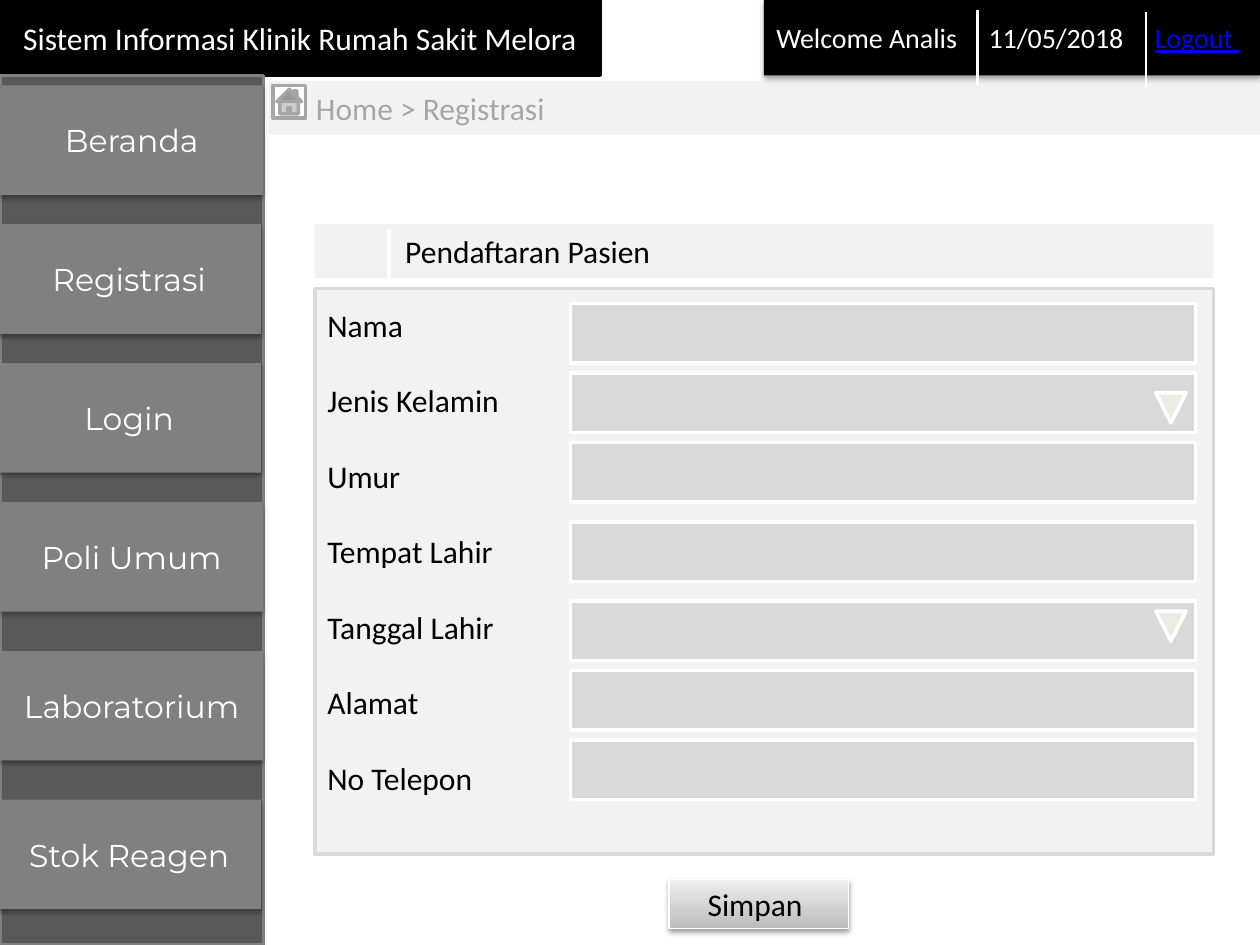
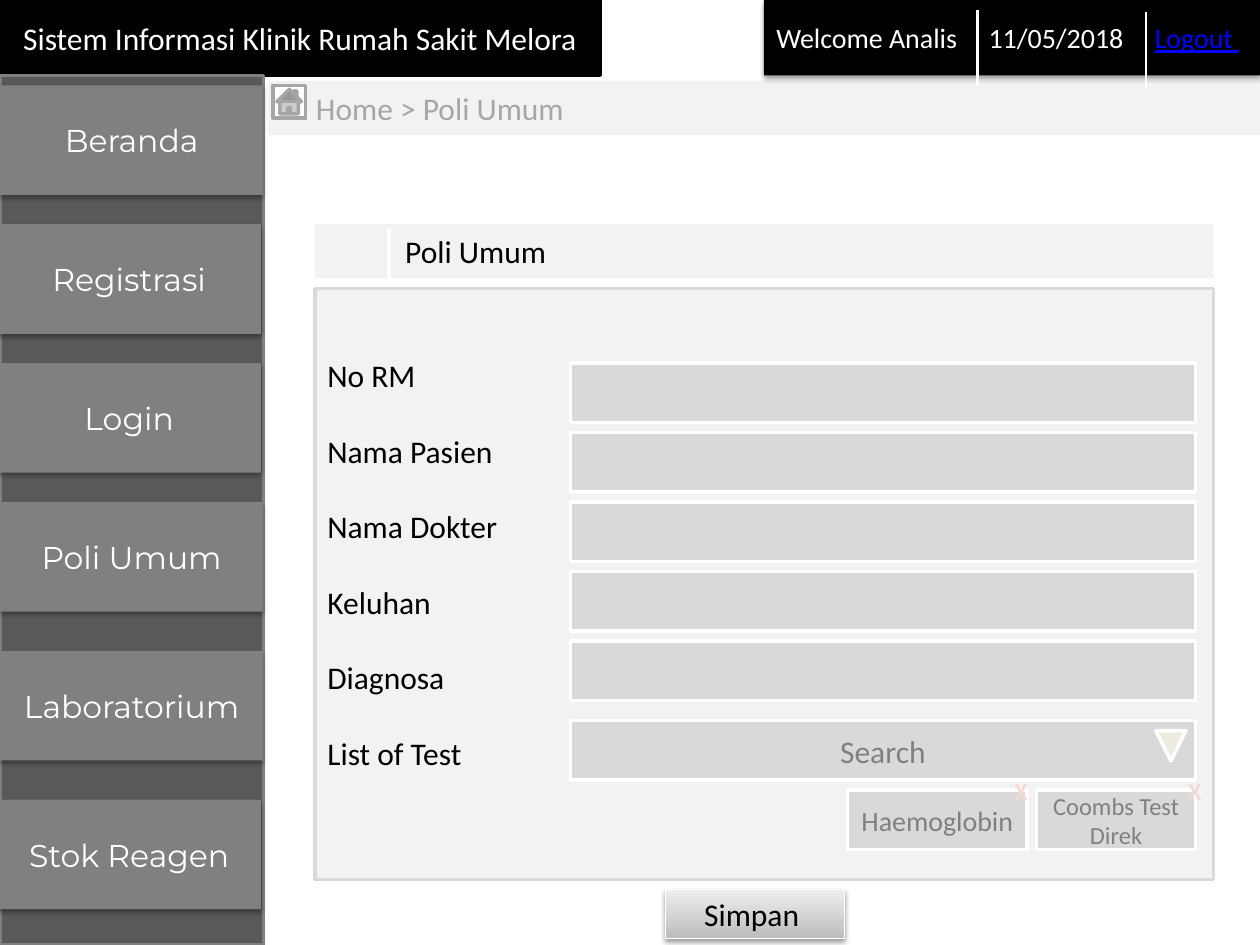
from lxml import etree
from pptx import Presentation
from pptx.dml.color import RGBColor
from pptx.enum import shapes, text
from pptx.oxml import ns
from pptx.util import Cm, Pt

BLACK = RGBColor(0x00, 0x00, 0x00)
WHITE = RGBColor(0xFF, 0xFF, 0xFF)
SIDEBAR_GREY = RGBColor(0x59, 0x59, 0x59)
MENU_GREY = RGBColor(0x80, 0x80, 0x80)
TRAIL_GREY = RGBColor(0xA6, 0xA6, 0xA6)
FIELD_GREY = RGBColor(0xD9, 0xD9, 0xD9)
PANEL_GREY = RGBColor(0xF2, 0xF2, 0xF2)
BUTTON_DARK = RGBColor(0xBD, 0xBD, 0xBD)
BUTTON_LIGHT = RGBColor(0xEE, 0xEE, 0xEE)
ARROW_CREAM = RGBColor(0xEE, 0xEC, 0xE1)
LINK_BLUE = RGBColor(0x00, 0x00, 0xFF)
REMOVE_PINK = RGBColor(0xF3, 0xD9, 0xD8)

BODY_FONT = "Calibri"
MENU_FONT = "Montserrat"
LEFT, CENTER = text.PP_ALIGN.LEFT, text.PP_ALIGN.CENTER
RECTANGLE = shapes.MSO_SHAPE.RECTANGLE

# Label, left and top of each menu button
MENU = (
    ("Beranda", 0, 1.72),
    ("Registrasi", -0.05, 4.52),
    ("Login", -0.05, 7.32),
    ("Poli Umum", 0, 10.12),
    ("Laboratorium", 0, 13.12),
    ("Stok Reagen", -0.05, 16.12),
)
PANEL_LEFT, PANEL_TOP, PANEL_WIDTH = 6.35, 5.82, 18.11
FIELD_LEFT, FIELD_WIDTH, FIELD_HEIGHT = 11.5, 12.6, 1.2
LABEL_PITCH = 1.53
LABEL_LINE = 0.77


def add_box(slide, left, top, width, height, fill, line=None, line_width=2, kind=RECTANGLE):
    shape = slide.shapes.add_shape(kind, Cm(left), Cm(top), Cm(width), Cm(height))
    shape.shadow.inherit = False
    shape.fill.solid()
    shape.fill.fore_color.rgb = fill
    if line is None:
        shape.line.fill.background()
    else:
        shape.line.color.rgb = line
        shape.line.width = Pt(line_width)
    return shape


def add_shadow(shape, opacity):
    effects = shape._element.spPr.find(ns.qn("a:effectLst"))
    shadow = etree.SubElement(effects, ns.qn("a:outerShdw"), blurRad=str(Pt(3.1)),
                              dist=str(Pt(1.7)), dir="5400000", rotWithShape="0")
    color = etree.SubElement(shadow, ns.qn("a:srgbClr"), val=str(BLACK))
    etree.SubElement(color, ns.qn("a:alpha"), val=str(opacity * 1000))


def style_paragraph(paragraph, color, size=18, font=BODY_FONT, align=CENTER):
    paragraph.alignment = align
    paragraph.font.name = font
    paragraph.font.size = Pt(size)
    paragraph.font.color.rgb = color


def write(shape, words, color, indent=None, **style):
    """Put one vertically centred line into a shape, with an optional left inset in cm."""
    frame = shape.text_frame
    frame.word_wrap = True
    frame.vertical_anchor = text.MSO_ANCHOR.MIDDLE
    if indent is not None:
        frame.margin_left = Cm(indent)
    paragraph = frame.paragraphs[0]
    paragraph.text = words
    style_paragraph(paragraph, color, **style)
    return paragraph


def add_divider(slide, x, top, height, width):
    connector = slide.shapes.add_connector(
        shapes.MSO_CONNECTOR.STRAIGHT, Cm(x), Cm(top), Cm(x), Cm(top + height))
    connector.line.color.rgb = WHITE
    connector.line.width = Pt(width)
    etree.SubElement(connector._element.spPr, ns.qn("a:effectLst"))


def set_tab_stops(paragraph, positions):
    properties = paragraph._p.get_or_add_pPr()
    tabs = etree.SubElement(properties, ns.qn("a:tabLst"))
    for position in positions:
        etree.SubElement(tabs, ns.qn("a:tab"), pos=str(Cm(position)), algn="l")
    # Tab stops come before the default run properties
    properties.insert(0, tabs)


def add_header(slide):
    title = add_box(slide, 0, 0, 12.1, 1.52, BLACK, BLACK)
    write(title, "Sistem Informasi Klinik Rumah Sakit Melora", WHITE)

    account = add_box(slide, 15.4, 0, 10, 1.52, BLACK)
    add_shadow(account, 38)
    paragraph = write(account, "Welcome Analis\t11/05/2018\t", WHITE, size=16, align=LEFT)
    set_tab_stops(paragraph, (4.28, 7.63))
    logout = paragraph.add_run()
    logout.text = "Logout "
    logout.font.color.rgb = LINK_BLUE
    logout.font.underline = True
    add_divider(slide, 19.71, 0.2, 1.52, 1.5)
    add_divider(slide, 23.1, 0.25, 1.52, 1.5)


def add_menu(slide):
    add_box(slide, 0, 1.52, 5.31, 17.53, SIDEBAR_GREY, MENU_GREY)
    for label, left, top in MENU:
        button = add_box(slide, left, top, 5.31, 2.21, MENU_GREY)
        add_shadow(button, 35)
        write(button, label, WHITE, font=MENU_FONT)


def add_page(presentation, page, heading):
    """Add a slide with header, menu, breadcrumb and form heading."""
    slide = presentation.slides.add_slide(presentation.slide_layouts[6])
    breadcrumb = add_box(slide, 5.41, 1.63, 19.99, 1.09, PANEL_GREY)
    write(breadcrumb, f"Home > {page}", TRAIL_GREY, indent=0.96, align=LEFT)
    add_box(slide, 5.5, 1.72, 0.66, 0.66, WHITE, TRAIL_GREY,
            kind=shapes.MSO_SHAPE.ACTION_BUTTON_HOME)
    heading_bar = add_box(slide, PANEL_LEFT, 4.52, PANEL_WIDTH, 1.09, PANEL_GREY)
    write(heading_bar, heading, BLACK, indent=1.82, align=LEFT)
    add_divider(slide, 7.85, 4.62, 1.2, 2.25)
    add_header(slide)
    add_menu(slide)
    return slide


def add_form_panel(slide, height, labels):
    """Add the form panel, its labels evenly spaced and centred as a block."""
    panel = add_box(slide, PANEL_LEFT, PANEL_TOP, PANEL_WIDTH, height, PANEL_GREY, FIELD_GREY)
    frame = panel.text_frame
    frame.word_wrap = True
    frame.vertical_anchor = text.MSO_ANCHOR.TOP
    frame.margin_top = Cm((height - len(labels) * LABEL_PITCH) / 2)
    frame.text = "\n".join(labels)
    for paragraph in frame.paragraphs:
        style_paragraph(paragraph, BLACK, align=LEFT)
        paragraph.space_after = Cm(LABEL_PITCH - LABEL_LINE)


def add_field(slide, top, left=FIELD_LEFT, width=FIELD_WIDTH, words="", size=18):
    field = add_box(slide, left, top, width, FIELD_HEIGHT, FIELD_GREY, WHITE)
    if words:
        write(field, words, MENU_GREY, size=size)


def add_dropdown_arrow(slide, top):
    add_box(slide, 23.3, top, 0.61, 0.61, ARROW_CREAM, WHITE,
            kind=shapes.MSO_SHAPE.FLOWCHART_MERGE)


def add_remove_mark(slide, left):
    mark = slide.shapes.add_textbox(Cm(left), Cm(15.52), Cm(0.71), Cm(0.86))
    mark.text_frame.margin_right = 0
    write(mark, "X", REMOVE_PINK, indent=0, size=14).font.bold = True


def add_save_button(slide, left, top):
    button = add_box(slide, left, top, 3.61, 0.99, BUTTON_LIGHT, WHITE, 0.75)
    button.fill.gradient()
    button.fill.gradient_angle = 90
    for stop, color in zip(button.fill.gradient_stops, (BUTTON_DARK, BUTTON_LIGHT)):
        stop.color.rgb = color
    add_shadow(button, 38)
    write(button, "Simpan ", BLACK)


def add_registration(presentation):
    slide = add_page(presentation, "Registrasi", "Pendaftaran Pasien")
    add_form_panel(slide, 11.4, ("Nama", "Jenis Kelamin", "Umur", "Tempat Lahir",
                                 "Tanggal Lahir", "Alamat", "No Telepon"))
    for top in (6.12, 7.52, 8.92, 10.52, 12.12, 13.52, 14.92):
        add_field(slide, top)
    for top in (7.92, 12.32):
        add_dropdown_arrow(slide, top)
    add_save_button(slide, 13.49, 17.73)


def add_general_clinic(presentation):
    slide = add_page(presentation, "Poli Umum", "Poli Umum")
    add_form_panel(slide, 11.91, ("No RM", "Nama Pasien", "Nama Dokter", "Keluhan",
                                  "Diagnosa", "List of Test"))
    for row in range(5):
        add_field(slide, 7.32 + 1.4 * row)
    add_field(slide, 14.53, words="Search")
    add_dropdown_arrow(slide, 14.73)
    add_field(slide, 15.93, 17.09, 3.61, "Haemoglobin", 16)
    add_field(slide, 15.93, 20.9, 3.2, "Coombs Test Direk", 14)
    for left in (20.23, 23.73):
        add_remove_mark(slide, left)
    add_save_button(slide, 13.42, 17.93)


def main():
    presentation = Presentation()
    presentation.slide_width = Cm(25.4)
    presentation.slide_height = Cm(19.05)
    add_registration(presentation)
    add_general_clinic(presentation)
    presentation.save("out.pptx")


if __name__ == "__main__":
    main()
